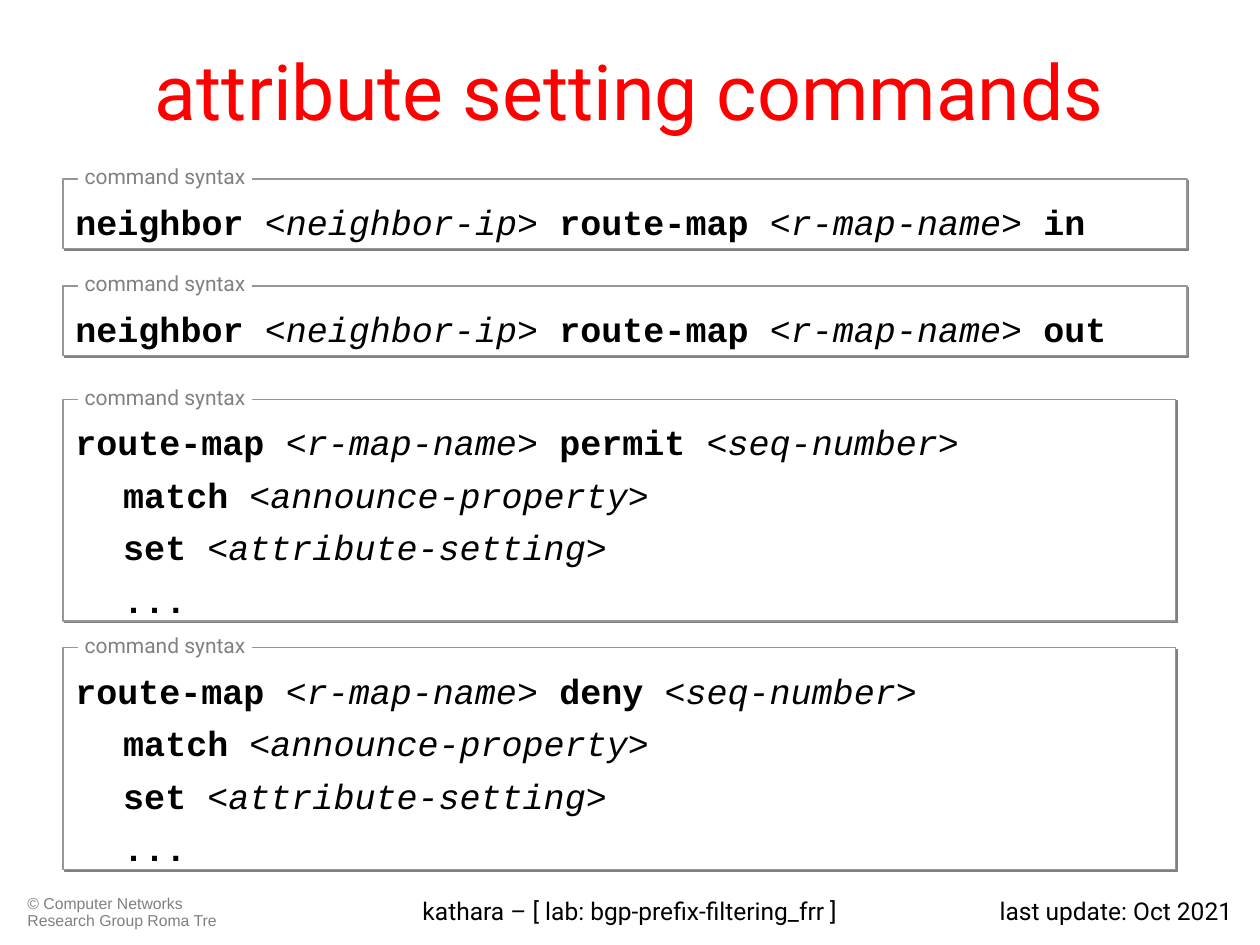
from lxml.etree import SubElement
from pptx import Presentation
from pptx.dml.color import RGBColor
from pptx.enum.shapes import MSO_SHAPE
from pptx.enum.text import MSO_ANCHOR, PP_ALIGN
from pptx.oxml.ns import qn
from pptx.util import Inches, Pt

SLIDE_WIDTH, SLIDE_HEIGHT = Inches(10), Inches(7.5)
COLUMN, ROW = SLIDE_WIDTH / 100, SLIDE_HEIGHT / 75
COLORS = {
    "title": "FF0000",
    "text": "000000",
    "muted": "808080",
    "border": "969696",
    "paper": "FFFFFF",
}
WIDE, NARROW = 89.2, 88.3
SHORT, TALL = 5.5, 17.6


def color(name):
    return RGBColor.from_string(COLORS[name])


def grid(box):
    left, top, width, height = box
    return [round(length) for length in
            (left * COLUMN, top * ROW, width * COLUMN, height * ROW)]


def set_font(paragraph, name, size, color_name):
    paragraph.font.name = name
    paragraph.font.size = Pt(size)
    paragraph.font.color.rgb = color(color_name)


def set_insets(frame, side, top, bottom):
    frame.margin_left = frame.margin_right = round(side * COLUMN)
    frame.margin_top, frame.margin_bottom = round(top * ROW), round(bottom * ROW)


def add_text(slide, box, text, size, color_name, alignment, font="Roboto",
             anchor=MSO_ANCHOR.TOP, line_spacing=None):
    frame = slide.shapes.add_textbox(*grid(box)).text_frame
    frame.word_wrap = True
    frame.vertical_anchor = anchor
    set_insets(frame, 1, 0.5, 0.5)
    paragraph = frame.paragraphs[0]
    paragraph.text = text
    paragraph.alignment = alignment
    paragraph.line_spacing = line_spacing
    set_font(paragraph, font, size, color_name)


def add_panel(group, box):
    shape = group.shapes.add_shape(MSO_SHAPE.RECTANGLE, *grid(box))
    shape.shadow.inherit = False
    shape.fill.solid()
    shape.fill.fore_color.rgb = color("paper")
    shape.line.fill.background()
    return shape


def add_drop_shadow(shape):
    effects = shape._element.spPr.find(qn("a:effectLst"))
    shadow = SubElement(effects, qn("a:outerShdw"), dist=str(Pt(1.4)),
                        dir=str(45 * 60000), algn="ctr", rotWithShape="0")
    SubElement(shadow, qn("a:srgbClr"), val=COLORS["muted"])


def add_command_lines(frame, lines):
    for index, line in enumerate(lines):
        paragraph = frame.add_paragraph() if index else frame.paragraphs[0]
        paragraph.alignment = PP_ALIGN.LEFT
        if index:
            paragraph.space_before = Pt(6)
            paragraph._p.get_or_add_pPr().set("marL", str(round(3.8 * COLUMN)))
        set_font(paragraph, "Courier New", 20, "text")
        for position, text in enumerate(line):
            run = paragraph.add_run()
            run.text = text
            run.font.bold = position % 2 == 0
            run.font.italic = position % 2 == 1


def add_syntax_box(slide, box, lines):
    left, top, _, _ = box
    group = slide.shapes.add_group_shape()

    panel = add_panel(group, box)
    panel.line.color.rgb = color("border")
    panel.line.width = Pt(0.75)
    add_drop_shadow(panel)
    frame = panel.text_frame
    frame.word_wrap = True
    frame.vertical_anchor = MSO_ANCHOR.TOP
    set_insets(frame, 1, 1.7, 0.5)
    add_command_lines(frame, lines)

    label = add_panel(group, (left + 1.2, top - 1.7, 13.8, 3)).text_frame
    label.word_wrap = False
    label.vertical_anchor = MSO_ANCHOR.MIDDLE
    set_insets(label, 0.2, 0.5, 0.5)
    paragraph = label.paragraphs[0]
    paragraph.text = "command syntax"
    paragraph.alignment = PP_ALIGN.CENTER
    set_font(paragraph, "Roboto", 12, "muted")


def neighbor_command(direction):
    return [("neighbor ", "<neighbor-ip>", " route-map ", "<r-map-name> ", direction)]


def route_map_command(action):
    return [
        ("route-map ", "<r-map-name> ", f"{action} ", "<seq-number>"),
        ("match", " <announce-property>"),
        ("set", " <attribute-setting>"),
        ("...",),
    ]


def add_footer(slide, top, height):
    add_text(slide, (1.2, top, 17.3, height),
             "© Computer Networks Research Group Roma Tre",
             9, "muted", PP_ALIGN.LEFT, font="Arial", line_spacing=0.9)
    add_text(slide, (25.6, top, 48.8, height),
             "kathara – [ lab: bgp-prefix-filtering_frr ]",
             14, "text", PP_ALIGN.CENTER)
    add_text(slide, (76, top, 22.8, height), "last update: Oct 2021",
             14, "text", PP_ALIGN.RIGHT)


def main():
    presentation = Presentation()
    presentation.slide_width, presentation.slide_height = SLIDE_WIDTH, SLIDE_HEIGHT
    slide = presentation.slides.add_slide(presentation.slide_layouts[6])

    add_text(slide, (5, 3, 90, 8.3), "attribute setting commands",
             44, "title", PP_ALIGN.CENTER, anchor=MSO_ANCHOR.MIDDLE)
    for top, width, height, lines in (
        (14.2, WIDE, SHORT, neighbor_command("in")),
        (22.7, WIDE, SHORT, neighbor_command("out")),
        (31.7, NARROW, TALL, route_map_command("permit")),
        (51.4, NARROW, TALL, route_map_command("deny")),
    ):
        add_syntax_box(slide, (5, top, width, height), lines)
    add_footer(slide, 70.6, 3.6)

    presentation.save("out.pptx")


if __name__ == "__main__":
    main()
